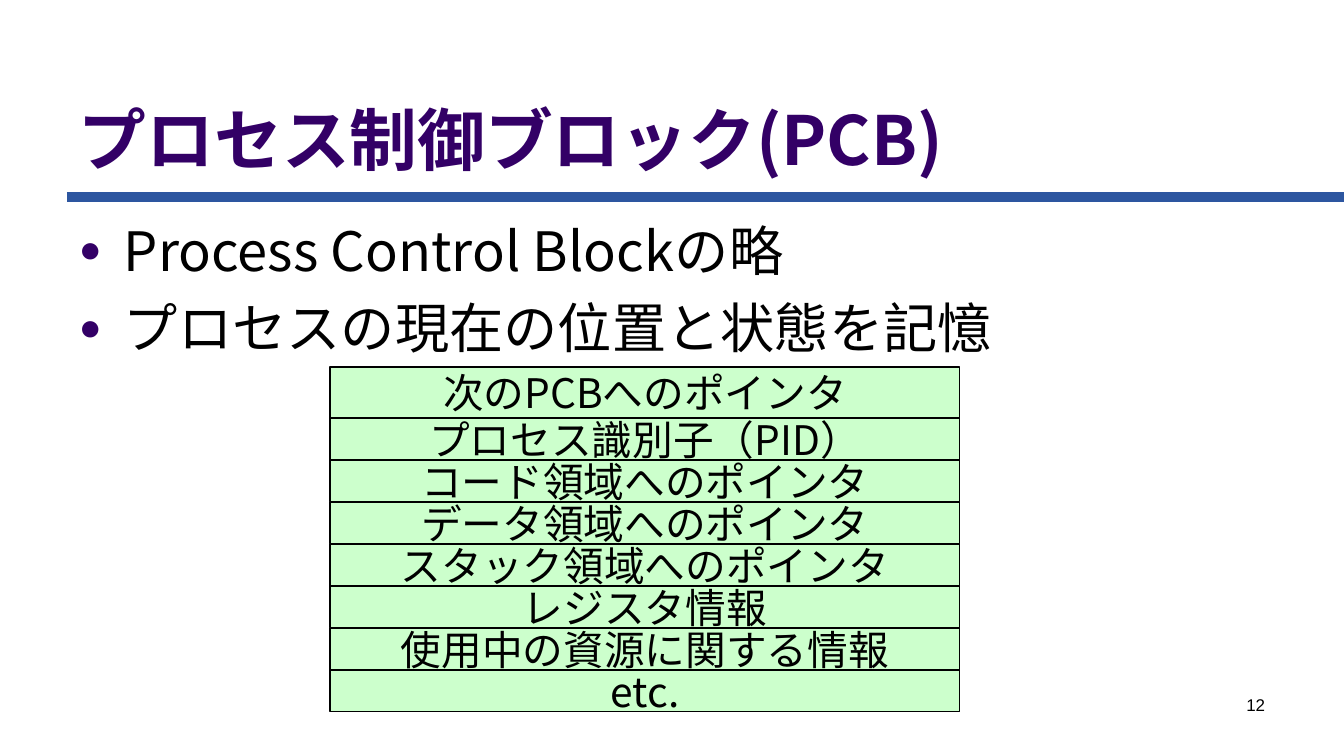
from lxml.etree import SubElement
from pptx import Presentation
from pptx.dml.color import RGBColor
from pptx.enum.shapes import MSO_CONNECTOR, MSO_SHAPE
from pptx.enum.text import MSO_ANCHOR, PP_ALIGN
from pptx.oxml.ns import qn
from pptx.util import Emu, Pt

JAPANESE, LATIN = "Noto Sans CJK JP", "Arial"
BLACK, PURPLE, BLUE, GREEN = "000000", "330066", "2D56A0", "CCFFCC"


def px(pixels):
    return Emu(round(pixels * 914400 / 122))


def color(hex_string):
    return RGBColor.from_string(hex_string)


def write(para, text, size=24, font=JAPANESE, fill=BLACK, bold=False,
          align=PP_ALIGN.LEFT, before=0):
    para.alignment = align
    para.space_before = Pt(before)
    span = para.add_run()
    span.text = text
    span.font.size = Pt(size)
    span.font.name = font
    span.font.bold = bold
    span.font.color.rgb = color(fill)
    SubElement(span.font._element, qn("a:ea")).set("typeface", font)


def add_bullet(para, indent):
    properties = para._p.get_or_add_pPr()
    properties.set("marL", str(indent))
    properties.set("indent", str(-indent))
    bullet_color = SubElement(properties, qn("a:buClr"))
    SubElement(bullet_color, qn("a:srgbClr")).set("val", PURPLE)
    SubElement(properties, qn("a:buSzPct")).set("val", "70000")
    SubElement(properties, qn("a:buFont")).set("typeface", LATIN)
    SubElement(properties, qn("a:buChar")).set("char", "●")


class SlideBuilder:
    def __init__(self, page):
        self.page = page

    def rule(self, left, right, y, width, fill):
        line = self.page.shapes.add_connector(
            MSO_CONNECTOR.STRAIGHT, px(left), px(y), px(right), px(y))
        line.line.color.rgb = color(fill)
        line.line.width = Pt(width)
        SubElement(line._element.spPr, qn("a:effectLst"))

    def text(self, left, top, width, height, lines, anchor=MSO_ANCHOR.TOP,
             bullets=False, **style):
        box = self.page.shapes.add_textbox(
            px(left), px(top), px(width), px(height))
        frame = box.text_frame
        frame.word_wrap = True
        frame.vertical_anchor = anchor
        for index, line in enumerate(lines):
            para = frame.add_paragraph() if index else frame.paragraphs[0]
            write(para, line, **style)
            if bullets:
                add_bullet(para, px(45))

    def field(self, left, top, width, height, label):
        box = self.page.shapes.add_shape(
            MSO_SHAPE.RECTANGLE, px(left), px(top), px(width), px(height))
        box.shadow.inherit = False
        box.fill.solid()
        box.fill.fore_color.rgb = color(GREEN)
        box.line.color.rgb = color(BLACK)
        box.line.width = Pt(0.74)
        frame = box.text_frame
        frame.word_wrap = False
        frame.vertical_anchor = MSO_ANCHOR.MIDDLE
        write(frame.paragraphs[0], label, align=PP_ALIGN.CENTER)


deck = Presentation()
deck.slide_width, deck.slide_height = px(1344), px(756)
slide = SlideBuilder(deck.slides.add_slide(deck.slide_layouts[6]))

# Title and rule
slide.rule(67, 1344, 197, 5.67, BLUE)
slide.text(67, 43, 1210, 142, ["プロセス制御ブロック(PCB)"],
           anchor=MSO_ANCHOR.BOTTOM, size=40, fill=PURPLE, bold=True)

# Bullet points
slide.text(67, 211, 1210, 444,
           ["Process Control Blockの略", "プロセスの現在の位置と状態を記憶"],
           bullets=True, size=32, before=7.5)

# Fields of the control block: a taller first row, then equal rows
fields = ["次のPCBへのポインタ", "プロセス識別子（PID）", "コード領域へのポインタ",
          "データ領域へのポインタ", "スタック領域へのポインタ", "レジスタ情報",
          "使用中の資源に関する情報", "etc."]
top = 367
for index, label in enumerate(fields):
    height = 42 if index else 51
    slide.field(330, top, 630, height, label)
    top += height

# Page number
slide.text(964, 689, 313, 50, ["12"], size=10, font=LATIN,
           align=PP_ALIGN.RIGHT)

deck.save("out.pptx")
